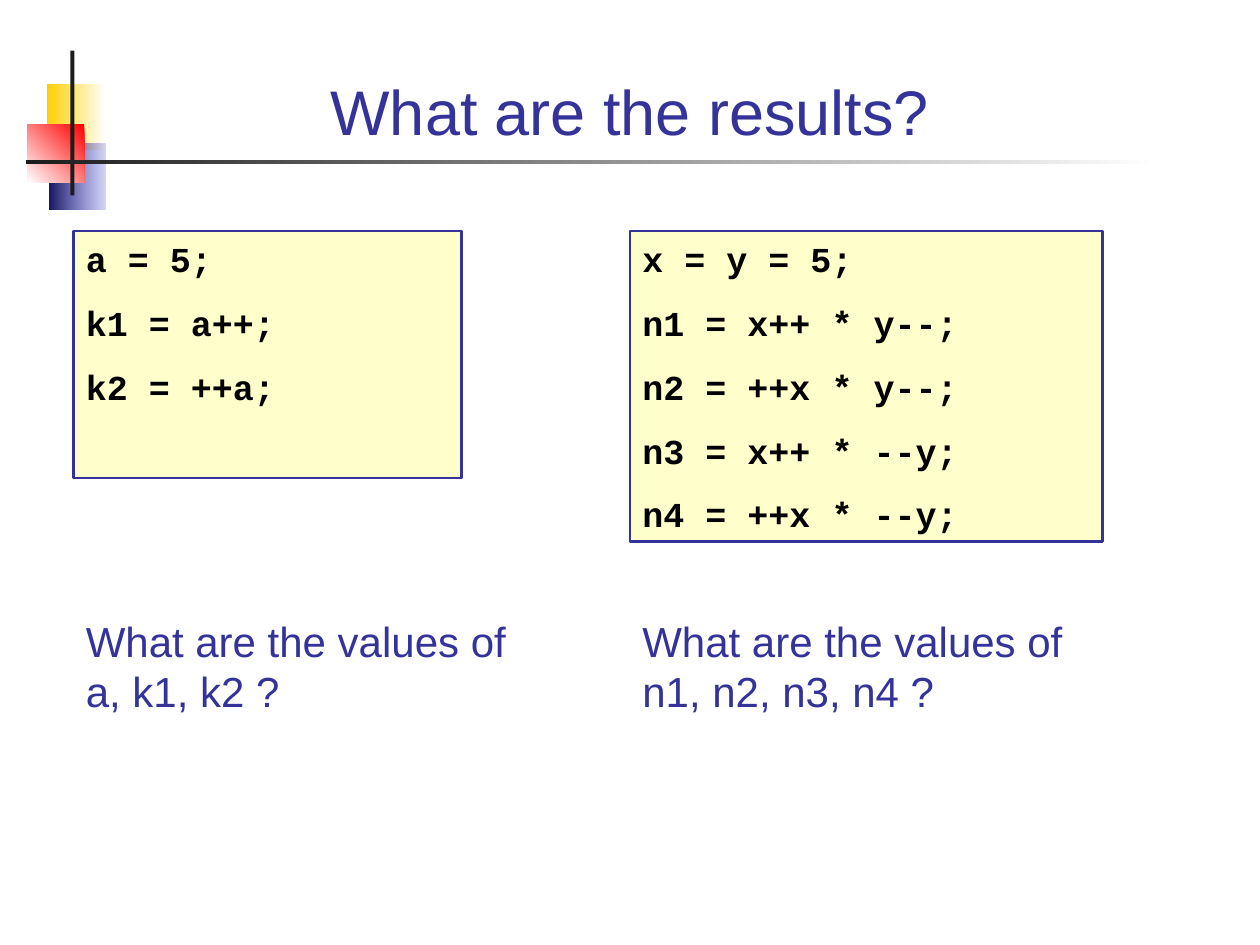
from dataclasses import dataclass

from lxml.etree import SubElement
from pptx import Presentation
from pptx.dml.color import RGBColor as Rgb
from pptx.enum.shapes import MSO_SHAPE as Kind
from pptx.enum.text import MSO_ANCHOR as Anchor, PP_ALIGN as Align
from pptx.oxml.ns import qn
from pptx.util import Cm, Pt


@dataclass(frozen=True)
class Theme:
    ink: str = "333399"
    dark: str = "1C1C1C"
    black: str = "000000"
    white: str = "FFFFFF"
    cream: str = "FFFFCC"
    gold: str = "FFCF01"
    red: str = "FF0000"
    blue: str = "3333CC"
    navy: str = "17175E"
    sans: str = "Arial"
    mono: str = "Courier New"
    head: int = 36
    ask: int = 24
    code: int = 20


def write(shape, lines, font, size, color, bold=False, align=Align.LEFT,
          anchor=Anchor.TOP, gap=0):
    frame = shape.text_frame
    frame.word_wrap = True
    frame.vertical_anchor = anchor
    frame.text = "\n".join(lines)
    for row, para in enumerate(frame.paragraphs):
        para.alignment = align
        para.space_before = Pt(gap if row else 0)
        face = para.font
        face.name, face.size, face.bold = font, Pt(size), bold
        face.color.rgb = Rgb.from_string(color)


class Page:
    def __init__(self, deck, theme):
        self.theme = theme
        self.slide = deck.slides.add_slide(deck.slide_layouts[5])

    def block(self, box, fill, line=None):
        shape = self.slide.shapes.add_shape(Kind.RECTANGLE, *map(Cm, box))
        shape.shadow.inherit = False
        shape.fill.solid()
        shape.fill.fore_color.rgb = Rgb.from_string(fill)
        if line:
            shape.line.color.rgb = Rgb.from_string(line)
            shape.line.width = Pt(1.5)
        else:
            shape.line.fill.background()
        return shape

    def fade(self, box, start, end, angle=180, alpha=None):
        shape = self.block(box, end)
        shape.fill.gradient()
        shape.fill.gradient_angle = angle
        for stop, color in zip(shape.fill.gradient_stops, (start, end)):
            stop.color.rgb = Rgb.from_string(color)
        if alpha is not None:
            tint = next(shape.element.iter(qn("a:srgbClr")))
            SubElement(tint, qn("a:alpha")).set("val", str(alpha * 1000))

    def title(self, box, text):
        look, shape = self.theme, self.slide.shapes.title
        shape.left, shape.top, shape.width, shape.height = map(Cm, box)
        write(shape, [text], look.sans, look.head, look.ink,
              align=Align.CENTER, anchor=Anchor.BOTTOM)

    def code(self, box, lines):
        look = self.theme
        shape = self.block(box, look.cream, look.ink)
        write(shape, lines, look.mono, look.code, look.black,
              bold=True, gap=12.5)

    def ask(self, box, text):
        look = self.theme
        shape = self.slide.shapes.add_textbox(*map(Cm, box))
        write(shape, [text], look.sans, look.ask, look.ink)


def main():
    deck = Presentation()
    deck.slide_width, deck.slide_height = Cm(25.4), Cm(19.05)
    look = Theme()
    page = Page(deck, look)

    page.fade((0.94, 1.7, 1.19, 1.32), look.white, look.gold)
    page.fade((0.99, 2.9, 1.14, 1.32), look.blue, look.navy, alpha=20)
    page.fade((0.56, 2.51, 1.14, 1.17), look.red, look.white, angle=225)
    page.block((1.42, 1.02, 0.08, 2.92), look.dark)
    page.fade((0.53, 3.23, 22.83, 0.08), look.white, look.dark)
    page.title((1.7, 0.71, 22, 2.41), "What are the results?")

    tasks = [
        (12.7, 9.53, 6.26, 9.32, "n1, n2, n3, n4",
         ["x = y = 5;", "n1 = x++ * y--;", "n2 = ++x * y--;",
          "n3 = x++ * --y;", "n4 = ++x * --y;"]),
        (1.48, 7.83, 4.98, 9.53, "a, k1, k2",
         ["a = 5;", "k1 = a++;", "k2 = ++a;"]),
    ]
    for left, wide, high, span, names, lines in tasks:
        page.code((left, 4.66, wide, high), lines)
        page.ask((left, 12.28, span, 2.29), f"What are the values of {names} ?")

    deck.save("out.pptx")


if __name__ == "__main__":
    main()
